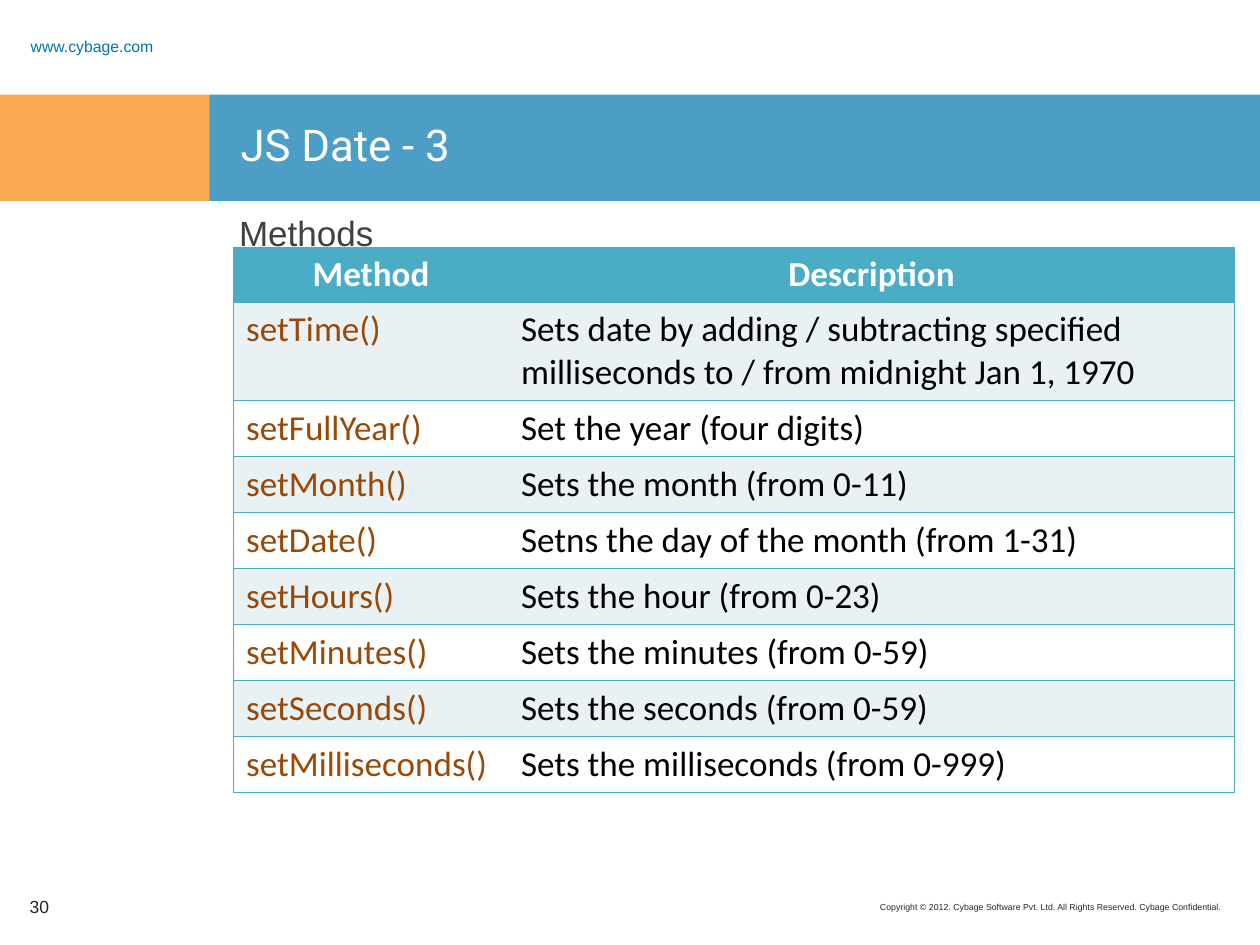
from lxml import etree
from pptx import Presentation
from pptx.dml.color import RGBColor
from pptx.enum.shapes import MSO_SHAPE
from pptx.enum.text import MSO_ANCHOR, PP_ALIGN
from pptx.oxml.ns import qn
from pptx.util import Cm, Pt

RECT = MSO_SHAPE.RECTANGLE
TOP, MIDDLE = MSO_ANCHOR.TOP, MSO_ANCHOR.MIDDLE
LEFT, CENTER, RIGHT = PP_ALIGN.LEFT, PP_ALIGN.CENTER, PP_ALIGN.RIGHT
COLORS = {
    "orange": "F88608", "blue": "0075B0", "teal": "4BACC6", "band": "E9F1F5",
    "white": "FFFFFF", "black": "000000", "brown": "984807",
    "body": "404040", "footer": "262626",
}


def rgb(name):
    return RGBColor.from_string(COLORS[name])


def write(tf, text, size, color, font="Arial", bold=False, align=LEFT, spacing=None):
    tf.word_wrap = True
    p = tf.paragraphs[0]
    p.alignment = align
    if spacing:
        p.line_spacing = spacing
    r = p.add_run()
    r.text = text
    r.font.size = Pt(size)
    r.font.name = font
    r.font.bold = bold
    r.font.color.rgb = rgb(color)


prs = Presentation()
prs.slide_width, prs.slide_height = Cm(25.4), Cm(19.05)
s = prs.slides.add_slide(prs.slide_layouts[6])

for left, width, color in [(0, 4.23, "orange"), (4.22, 21.18, "blue")]:
    sp = s.shapes.add_shape(RECT, Cm(left), Cm(1.91), Cm(width), Cm(2.14))
    sp.shadow.inherit = False
    sp.fill.solid()
    sp.fill.fore_color.rgb = rgb(color)
    sp.line.fill.background()
    clr = sp.fill._xPr.find(qn("a:solidFill"))[0]
    etree.SubElement(clr, qn("a:alpha"), val="70000")

texts = [
    ("Copyright © 2012. Cybage Software Pvt. Ltd. All Rights Reserved. Cybage Confidential.",
     (15.85, 18.06, 9.04, 0.51), TOP, dict(size=5, color="footer", align=RIGHT)),
    ("www.cybage.com", (0.37, 0.6, 3.81, 0.49), MIDDLE,
     dict(size=9, color="blue", spacing=1.5)),
    ("JS Date - 3", (4.6, 2.24, 20.17, 1.57), TOP,
     dict(size=25, color="white", font="Roboto")),
    ("Methods", (4.57, 4.14, 20.19, 12.98), TOP, dict(size=20, color="body")),
    ("30", (0.35, 17.76, 1.37, 1.01), MIDDLE, dict(size=10, color="footer")),
]
for text, box, anchor, fmt in texts:
    sp = s.shapes.add_textbox(*[Cm(v) for v in box])
    sp.text_frame.vertical_anchor = anchor
    write(sp.text_frame, text, **fmt)

rows = [
    ("Method", "Description"),
    ("setTime()", "Sets date by adding / subtracting specified milliseconds to / from midnight Jan 1, 1970"),
    ("setFullYear()", "Set the year (four digits)"),
    ("setMonth()", "Sets the month (from 0-11)"),
    ("setDate()", "Setns the day of the month (from 1-31)"),
    ("setHours()", "Sets the hour (from 0-23)"),
    ("setMinutes()", "Sets the minutes (from 0-59)"),
    ("setSeconds()", "Sets the seconds (from 0-59)"),
    ("setMilliseconds()", "Sets the milliseconds (from 0-999)"),
]
col_widths = [5.54, 14.64]
row_heights = [1.11, 1.98] + [1.13] * 7
table = s.shapes.add_table(len(rows), 2, Cm(4.71), Cm(4.98),
                           Cm(sum(col_widths)), Cm(sum(row_heights))).table
for col, width in zip(table.columns, col_widths):
    col.width = Cm(width)
for i, (row, height) in enumerate(zip(rows, row_heights)):
    table.rows[i].height = Cm(height)
    for j, text in enumerate(row):
        cell = table.cell(i, j)
        cell.fill.solid()
        if i == 0:
            cell.fill.fore_color.rgb = rgb("teal")
            write(cell.text_frame, text, 20, "white", "Calibri", True, CENTER)
        else:
            cell.fill.fore_color.rgb = rgb("band" if i % 2 else "white")
            write(cell.text_frame, text, 20, ("brown", "black")[j], "Calibri")
        tcPr = cell._tc.get_or_add_tcPr()
        outer, inner = ("lnL", "lnR") if j == 0 else ("lnR", "lnL")
        for k, side in enumerate(("lnL", "lnR", "lnT", "lnB")):
            ln = etree.Element(qn("a:" + side), w=str(Pt(0.45)))
            if side == inner:
                etree.SubElement(ln, qn("a:noFill"))
            else:
                fill = etree.SubElement(ln, qn("a:solidFill"))
                etree.SubElement(fill, qn("a:srgbClr"), val=COLORS["teal"])
            tcPr.insert(k, ln)

prs.save("out.pptx")
